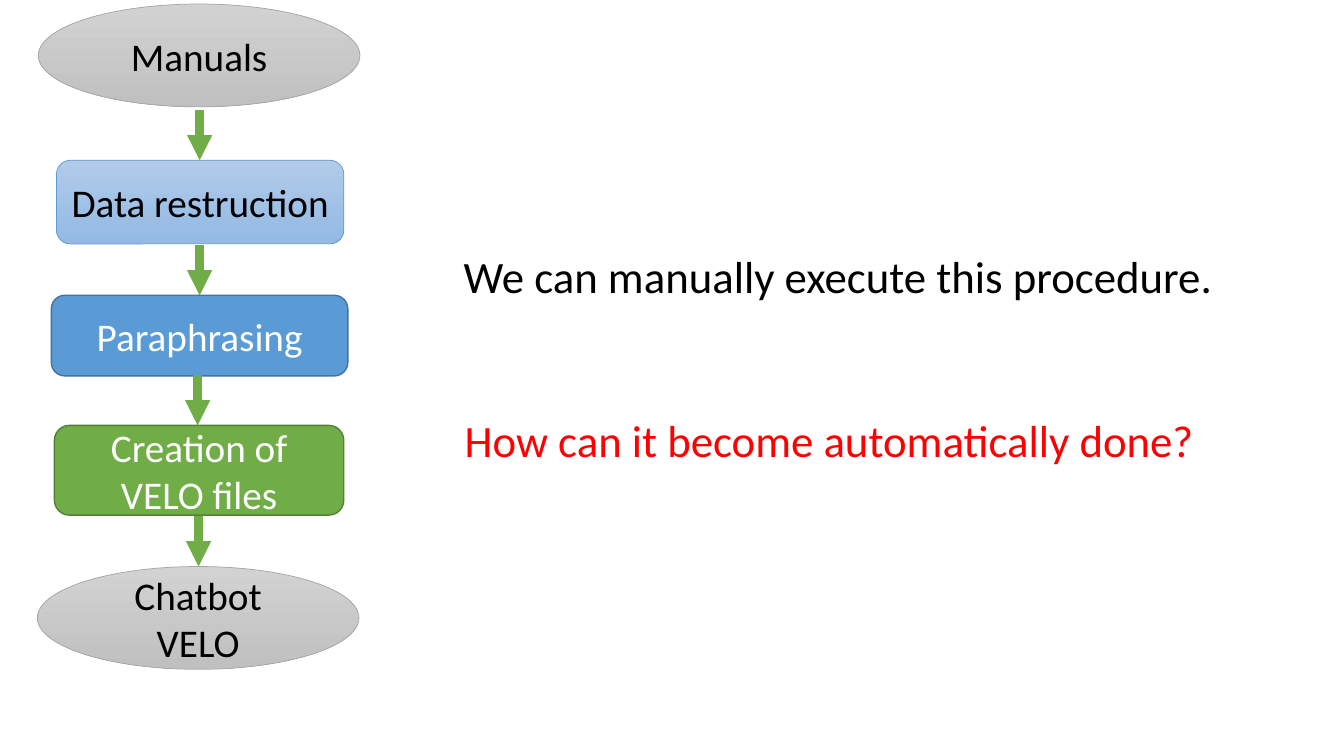
from lxml import etree
from pptx import Presentation
from pptx import util as u
from pptx.dml.color import RGBColor
from pptx.enum import shapes, text
from pptx.oxml.ns import qn

PX = u.Inches(1) // 100
FONT = "Calibri"
ARROW_LENGTH = 50

COLORS = {
    "black": "000000", "white": "FFFFFF", "red": "FF0000",
    "green": "70AD47", "dark green": "538035",
    "blue": "5B9BD5", "dark blue": "43739E",
    "sky top": "B1CBE9", "sky bottom": "93B9E4",
    "grey": "A5A5A5", "grey top": "D2D2D2", "grey bottom": "C0C0C0",
}

# style: fill colours (two make a gradient), outline, outline width, text
STYLES = {
    "endpoint": (("grey top", "grey bottom"), "grey", 0.5, "black"),
    "data": (("sky top", "sky bottom"), "blue", 0.5, "black"),
    "language": (("blue",), "dark blue", 1, "white"),
    "output": (("green",), "dark green", 1, "white"),
}

OVAL = shapes.MSO_SHAPE.OVAL
ROUNDED = shapes.MSO_SHAPE.ROUNDED_RECTANGLE

# label, outline, style, box, x of the arrow leading in
STEPS = [
    ("Manuals", OVAL, "endpoint", (38, 4, 319, 102), None),
    ("Data restruction", ROUNDED, "data", (56, 159, 285, 83), 198),
    ("Paraphrasing", ROUNDED, "language", (51, 293, 294, 80), 198),
    ("Creation of VELO files", ROUNDED, "output", (54, 422, 287, 89), 196),
    ("Chatbot VELO", OVAL, "endpoint", (37, 562, 319, 102), 197),
]

REMARKS = [
    ("We can manually execute this procedure.", "black", (450, 242, 784, 64)),
    ("How can it become automatically done?", "red", (451, 405, 788, 64)),
]


def px(*lengths):
    return [length * PX for length in lengths]


def rgb(name):
    return RGBColor.from_string(COLORS[name])


def write(frame, words, size, color, align):
    frame.word_wrap = True
    paragraph = frame.paragraphs[0]
    paragraph.text = words
    paragraph.alignment = align
    paragraph.font.name = FONT
    paragraph.font.size = u.Pt(size)
    paragraph.font.color.rgb = rgb(color)


def paint(fill, colors):
    if len(colors) == 1:
        fill.solid()
        fill.fore_color.rgb = rgb(colors[0])
        return
    fill.gradient()
    fill.gradient_angle = 270
    for stop, color in zip(fill.gradient_stops, colors):
        stop.color.rgb = rgb(color)


def add_step(slide, label, outline, style, box):
    fills, line_color, line_width, text_color = STYLES[style]
    step = slide.shapes.add_shape(outline, *px(*box))
    step.shadow.inherit = False
    paint(step.fill, fills)
    step.line.color.rgb = rgb(line_color)
    step.line.width = u.Pt(line_width)
    step.text_frame.vertical_anchor = text.MSO_ANCHOR.MIDDLE
    write(step.text_frame, label, 28, text_color, text.PP_ALIGN.CENTER)


def add_arrow(slide, x, tip):
    arrow = slide.shapes.add_connector(
        shapes.MSO_CONNECTOR.STRAIGHT, *px(x, tip - ARROW_LENGTH, x, tip))
    arrow.line.color.rgb = rgb("green")
    arrow.line.width = u.Pt(6)
    properties = arrow._element.spPr
    etree.SubElement(properties.find(qn("a:ln")), qn("a:tailEnd"), type="triangle")
    etree.SubElement(properties, qn("a:effectLst"))


def add_remark(slide, words, color, box):
    remark = slide.shapes.add_textbox(*px(*box))
    write(remark.text_frame, words, 32, color, text.PP_ALIGN.LEFT)
    remark.text_frame.auto_size = text.MSO_AUTO_SIZE.SHAPE_TO_FIT_TEXT


def main():
    deck = Presentation()
    deck.slide_width, deck.slide_height = px(1333, 750)
    slide = deck.slides.add_slide(deck.slide_layouts[6])

    # Flow from manuals to chatbot
    for label, outline, style, box, arrow_x in STEPS:
        if arrow_x is not None:
            add_arrow(slide, arrow_x, box[1])
        add_step(slide, label, outline, style, box)

    # Remarks beside the flow
    for words, color, box in REMARKS:
        add_remark(slide, words, color, box)

    deck.save("out.pptx")


if __name__ == "__main__":
    main()
